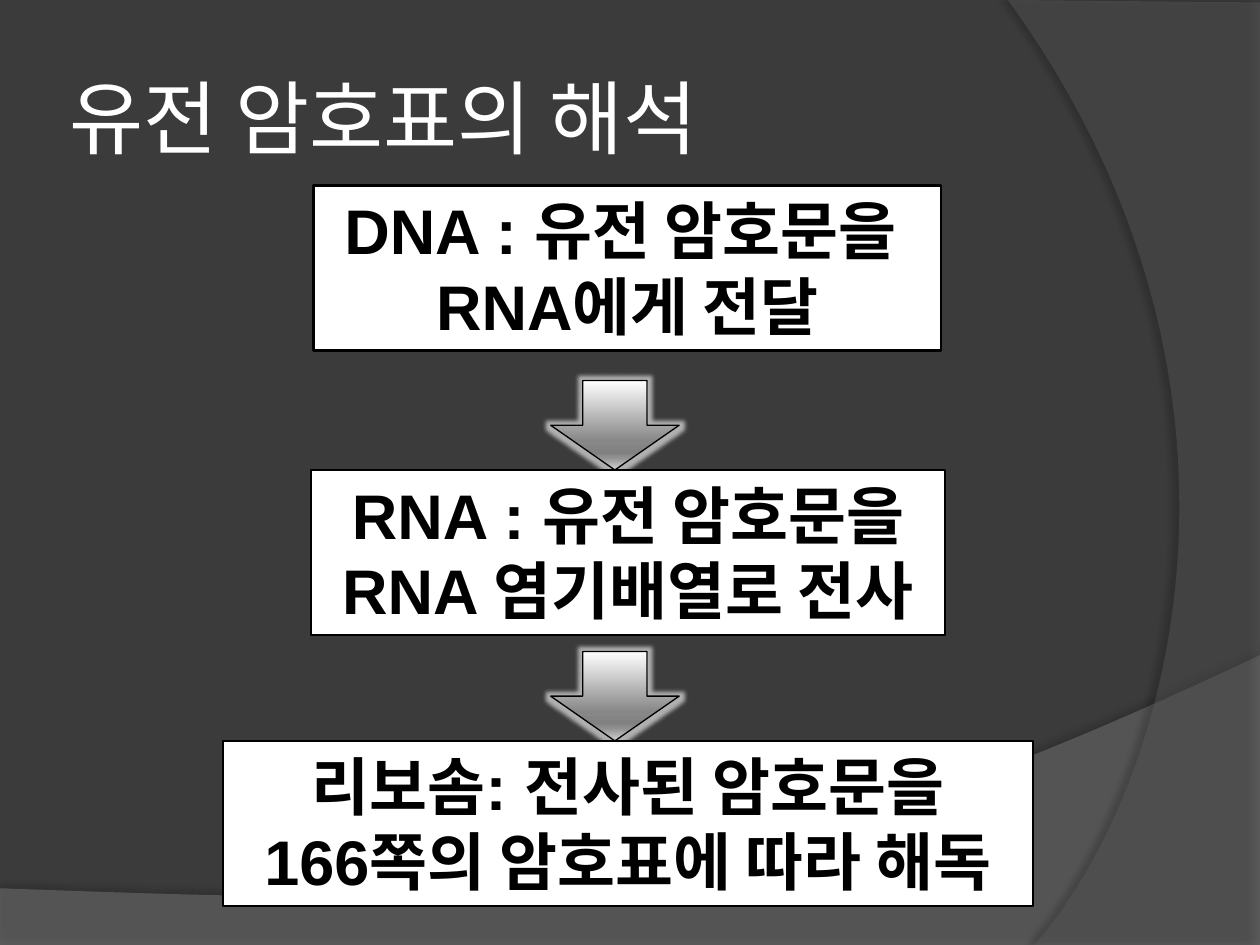
from lxml import etree
from pptx import Presentation
from pptx.dml.color import RGBColor
from pptx.enum.shapes import MSO_SHAPE
from pptx.enum.text import MSO_ANCHOR, MSO_AUTO_SIZE, PP_ALIGN
from pptx.oxml.ns import qn
from pptx.util import Inches, Pt

RECTANGLE, DOWN_ARROW = MSO_SHAPE.RECTANGLE, MSO_SHAPE.DOWN_ARROW
MIDDLE, CENTER = MSO_ANCHOR.MIDDLE, PP_ALIGN.CENTER
FIT_SHAPE = MSO_AUTO_SIZE.SHAPE_TO_FIT_TEXT

# Content
TITLE = "유전 암호표의 해석"
STEPS = [  # left, top, width, lines
    (2.49, 1.47, 4.98, ["DNA : 유전 암호문을 ", "RNA에게 전달"]),
    (2.47, 3.73, 5.03, ["RNA : 유전 암호문을", "RNA 염기배열로 전사"]),
    (1.77, 5.88, 6.43, ["리보솜: 전사된 암호문을", "166쪽의 암호표에 따라 해독"]),
]
STEP_HEIGHT = 1.31
ARROW_LEFT, ARROW_WIDTH, ARROW_HEIGHT = 4.37, 1.02, 0.71
ARROW_STOPS = [(0, "FEFEFE"), (68, "878787"), (81, "818181"), (86, "909090"), (100, "D3D3D3")]
WAVES = [  # corners before the curve, Bezier controls and end, fill and shadow
    dict(corners=[(0, 7.05), (0, 7.5), (10, 7.5), (10, 5.2)],
         curve=[(5.59, 7.29), (3.91, 7.19), (0, 7.05)],
         fill="7F7F7F", alpha=45, shadow_alpha=35, distance=3.5, angle=270),
    dict(corners=[(10, 0.02), (10, 7.5), (8.21, 7.5)],
         curve=[(9.35, 6.19), (10.18, 3), (8, 0)],
         fill="5E5E5E", alpha=40, shadow_alpha=45, distance=4, angle=180),
]
TITLE_FONT = dict(name="Cabin", size=Pt(46))
STEP_FONT = dict(name="Arial", size=Pt(36), bold=True)


def color(value):
    return RGBColor.from_string(value)


def add_color(parent, value, alpha=100):
    node = etree.SubElement(parent, qn("a:srgbClr"), val=value)
    if alpha < 100:
        etree.SubElement(node, qn("a:alpha"), val=str(alpha * 1000))


def add_effect(shape, name, value, alpha, **values):
    shape.shadow.inherit = False
    effects = shape._element.spPr.find(qn("a:effectLst"))
    effect = etree.SubElement(effects, qn(name), {key: str(item) for key, item in values.items()})
    add_color(effect, value, alpha)


def write(para, text, font, value):
    span = para.add_run()
    span.text = text
    for key, item in font.items():
        setattr(span.font, key, item)
    span.font.color.rgb = color(value)


def bezier(start, first, second, end, steps=48):
    for step in range(1, steps + 1):
        t = step / steps
        weights = ((1 - t) ** 3, 3 * t * (1 - t) ** 2, 3 * t * t * (1 - t), t ** 3)
        points = (start, first, second, end)
        yield tuple(sum(w * p[axis] for w, p in zip(weights, points)) for axis in (0, 1))


def add_wave(page, wave):
    corners = wave["corners"]
    outline = corners + list(bezier(corners[-1], *wave["curve"]))
    points = [(Inches(x), Inches(y)) for x, y in outline]
    builder = page.shapes.build_freeform(*points[0])
    builder.add_line_segments(points[1:], close=True)
    shape = builder.convert_to_shape()
    shape.fill.solid()
    shape.fill.fore_color.rgb = color(wave["fill"])
    solid = shape._element.spPr.find(qn("a:solidFill"))
    solid.clear()
    add_color(solid, wave["fill"], wave["alpha"])
    shape.line.fill.background()
    add_effect(shape, "a:outerShdw", "000000", wave["shadow_alpha"], blurRad=Pt(4),
               dist=Pt(wave["distance"]), dir=wave["angle"] * 60000, rotWithShape=0)


def add_outlined(page, kind, place, width):
    shape = page.shapes.add_shape(kind, *map(Inches, place))
    shape.line.color.rgb = color("000000")
    shape.line.width = Pt(width)
    shape.shadow.inherit = False
    return shape


def add_step(page, left, top, width, lines):
    box = add_outlined(page, RECTANGLE, (left, top, width, STEP_HEIGHT), 1.5)
    box.fill.solid()
    box.fill.fore_color.rgb = color("FFFFFF")
    frame = box.text_frame
    frame.word_wrap, frame.auto_size = False, FIT_SHAPE
    frame.vertical_anchor = MSO_ANCHOR.TOP
    for index, line in enumerate(lines):
        para = frame.add_paragraph() if index else frame.paragraphs[0]
        para.alignment = CENTER
        write(para, line, STEP_FONT, "000000")


def add_arrow(page, bottom):
    place = (ARROW_LEFT, bottom - ARROW_HEIGHT, ARROW_WIDTH, ARROW_HEIGHT)
    arrow = add_outlined(page, DOWN_ARROW, place, 0.75)
    arrow.fill.gradient()
    arrow.fill.gradient_angle = 270  # counter-clockwise, so top to bottom
    stops = arrow._element.spPr.find(qn("a:gradFill")).find(qn("a:gsLst"))
    stops.clear()
    for position, value in ARROW_STOPS:
        add_color(etree.SubElement(stops, qn("a:gs"), pos=str(position * 1000)), value)
    add_effect(arrow, "a:glow", "FFFFFF", 60, rad=Pt(5))


def main():
    deck = Presentation()
    deck.slide_width, deck.slide_height = Inches(10), Inches(7.5)
    page = deck.slides.add_slide(deck.slide_layouts[6])
    page.background.fill.solid()
    page.background.fill.fore_color.rgb = color("3B3B3B")

    # Backdrop
    for wave in WAVES:
        add_wave(page, wave)

    # Title
    box = page.shapes.add_textbox(*map(Inches, (0.5, 0.3, 8.17, 1.25)))
    frame = box.text_frame
    frame.word_wrap, frame.vertical_anchor = True, MIDDLE
    for side in ("left", "top", "right", "bottom"):
        setattr(frame, f"margin_{side}", Inches(0.05))
    write(frame.paragraphs[0], TITLE, TITLE_FONT, "FFFFFF")

    # Steps, each after the first with an arrow down to its top
    for index, step in enumerate(STEPS):
        if index:
            add_arrow(page, step[1])
        add_step(page, *step)

    deck.save("out.pptx")


if __name__ == "__main__":
    main()
